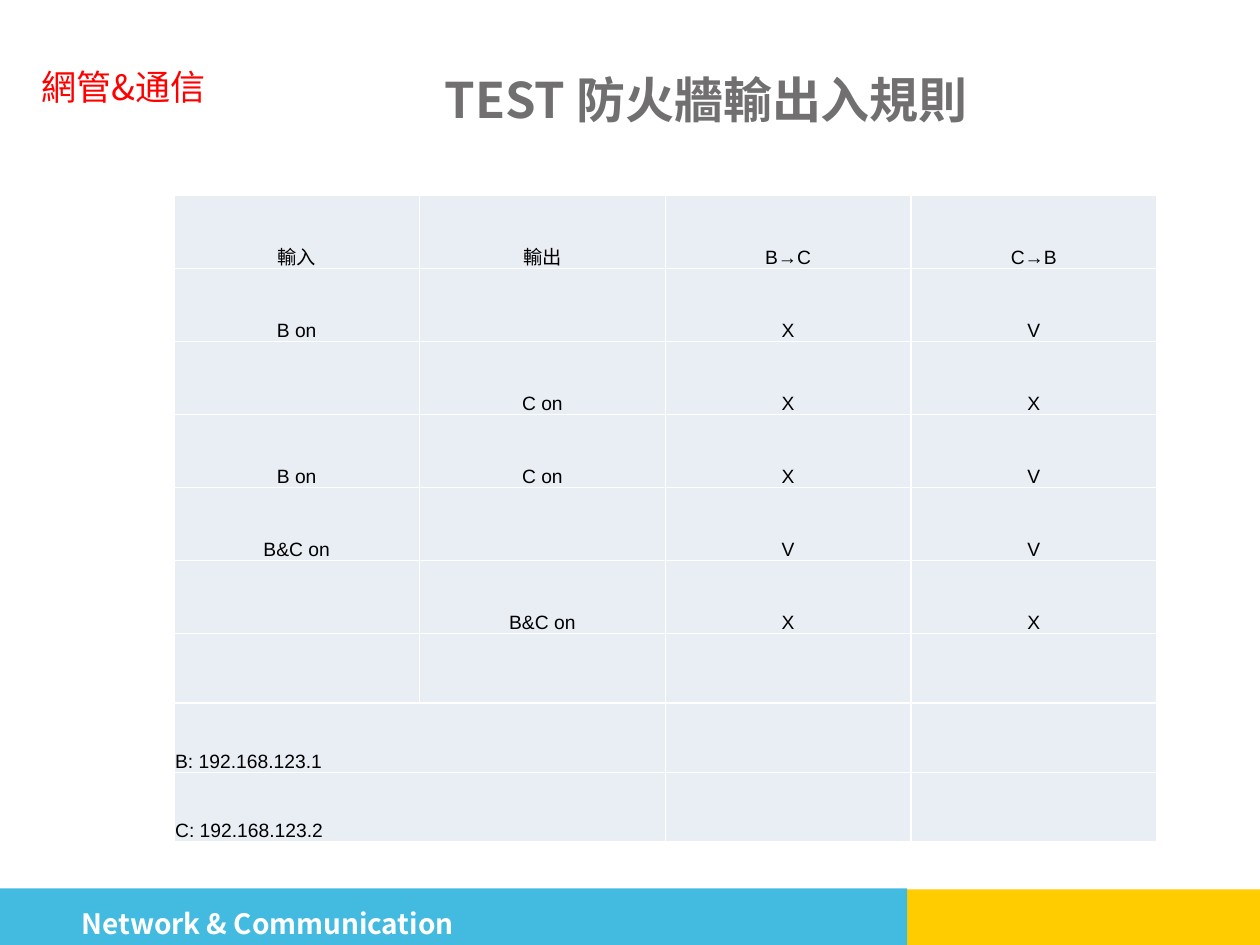
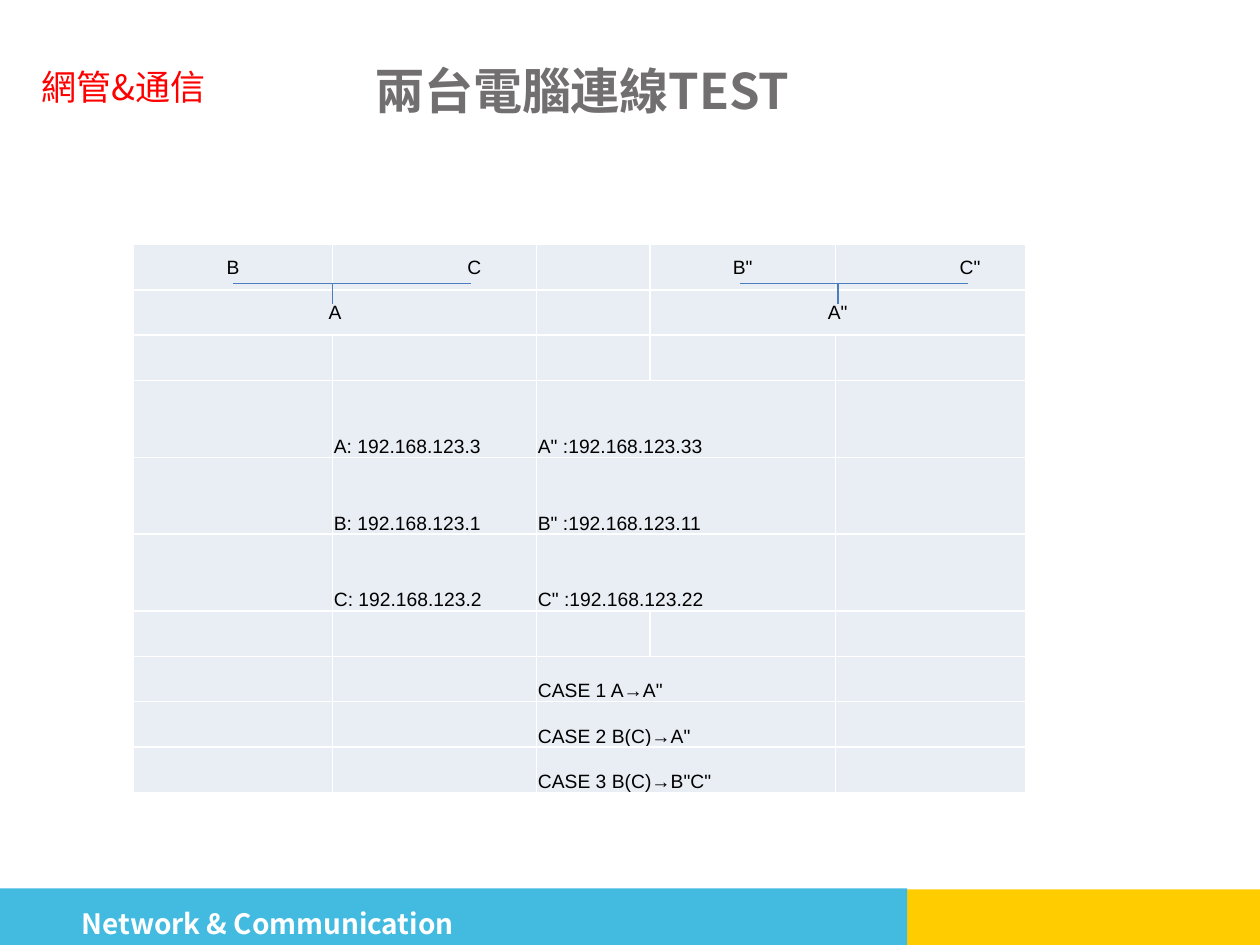
from pptx import Presentation
from pptx.dml.color import RGBColor
from pptx.enum.shapes import MSO_CONNECTOR, MSO_SHAPE
from pptx.enum.text import MSO_ANCHOR, PP_ALIGN
from pptx.oxml.ns import qn
from pptx.util import Inches, Pt
from lxml.etree import SubElement

COLORS = {
    "yellow": "FFCC00",
    "blue": "43BBE1",
    "red": "FF0000",
    "white": "FFFFFF",
    "title": "716F70",
    "cell": "E9EDF4",
    "wire": "4B7EBC",
    "black": "000000",
}
HEADING_FONT = "Noto Sans CJK SC"
MERGED = None  # cell that belongs to the one on its left


def write(frame, text, size=11, color="black", font="Arial", bold=False,
          align=PP_ALIGN.LEFT, spacing=None):
    frame.word_wrap = True
    paragraph = frame.paragraphs[0]
    paragraph.alignment = align
    if spacing:
        paragraph.line_spacing = spacing
    run = paragraph.add_run()
    run.text = text
    run.font.size = Pt(size)
    run.font.bold = bold
    run.font.color.rgb = RGBColor.from_string(COLORS[color])
    run.font.name = font
    SubElement(run.font._element, qn("a:ea"), typeface=font)


def add_label(slide, box, text, anchor=MSO_ANCHOR.TOP, **style):
    frame = slide.shapes.add_textbox(*map(Inches, box)).text_frame
    frame.vertical_anchor = anchor
    write(frame, text, font=HEADING_FONT, **style)


pages = [
    {
        "title": "TEST 防火牆輸出入規則",
        "title_at": (3.43, 0.36),
        "table_at": (1.38, 1.55),
        "columns": [1.95] * 4,
        "heights": [0.58] * 6 + [0.55] * 3,
        "centred_rows": 7,
        "centred_anchor": MSO_ANCHOR.BOTTOM,
        "indents": {},
        "rows": [
            ["輸入", "輸出", "B→C", "C→B"],
            ["B on", "", "X", "V"],
            ["", "C on", "X", "X"],
            ["B on", "C on", "X", "V"],
            ["B&C on", "", "V", "V"],
            ["", "B&C on", "X", "X"],
            ["", "", "", ""],
            ["B: 192.168.123.1", MERGED, "", ""],
            ["C: 192.168.123.2", MERGED, "", ""],
        ],
        "wires": [],
    },
    {
        "title": "兩台電腦連線TEST",
        "title_at": (2.88, 0.29),
        "table_at": (1.06, 1.94),
        "columns": [1.58, 1.62, 0.9, 1.47, 1.51],
        "heights": [0.36] * 3 + [0.61] * 3 + [0.36] * 4,
        "centred_rows": 2,
        "centred_anchor": MSO_ANCHOR.MIDDLE,
        "indents": {"C": 0.64, 'C"': 0.64},
        "rows": [
            ["B", "C", "", 'B"', 'C"'],
            ["A", MERGED, "", 'A"', MERGED],
            ["", "", "", "", ""],
            ["", "A: 192.168.123.3", 'A" :192.168.123.33', MERGED, ""],
            ["", "B: 192.168.123.1", 'B" :192.168.123.11', MERGED, ""],
            ["", "C: 192.168.123.2", 'C" :192.168.123.22', MERGED, ""],
            ["", "", "", "", ""],
            ["", "", 'CASE 1 A→A"', MERGED, ""],
            ["", "", 'CASE 2 B(C)→A"', MERGED, ""],
            ["", "", 'CASE 3 B(C)→B"C"', MERGED, ""],
        ],
        "wires": [
            (1.85, 2.25, 3.74, 2.25),
            (5.87, 2.25, 7.68, 2.25),
            (2.64, 2.25, 2.64, 2.41),
            (6.65, 2.25, 6.65, 2.41),
        ],
    },
]

deck = Presentation()
deck.slide_width, deck.slide_height = Inches(10), Inches(7.5)

for page in pages:
    slide = deck.slides.add_slide(deck.slide_layouts[6])

    # Footer bands, section tag and title
    for color, box in [("yellow", (3.57, 7.06, 6.43, 0.44)),
                       ("blue", (0, 7.05, 7.2, 0.45))]:
        band = slide.shapes.add_shape(MSO_SHAPE.RECTANGLE, *map(Inches, box))
        band.shadow.inherit = False
        band.fill.solid()
        band.fill.fore_color.rgb = RGBColor.from_string(COLORS[color])
        band.line.fill.background()
    add_label(slide, (0.23, 0.47, 1.57, 0.44), "網管&通信", size=20, color="red")
    add_label(slide, (0.55, 7.01, 5, 0.45), "Network & Communication",
              size=16, color="white", bold=True, spacing=1.5)
    add_label(slide, (*page["title_at"], 7.41, 0.85), page["title"],
              anchor=MSO_ANCHOR.MIDDLE, size=28, color="title", bold=True)

    # Table
    size = sum(page["columns"]), sum(page["heights"])
    grid = slide.shapes.add_table(
        len(page["heights"]), len(page["columns"]),
        *map(Inches, (*page["table_at"], *size))).table
    grid.first_row = grid.horz_banding = False
    for column, width in zip(grid.columns, page["columns"]):
        column.width = Inches(width)
    for row, height in zip(grid.rows, page["heights"]):
        row.height = Inches(height)

    for r, texts in enumerate(page["rows"]):
        centred = r < page["centred_rows"]
        for c, text in enumerate(texts):
            cell = grid.cell(r, c)
            cell.fill.solid()
            cell.fill.fore_color.rgb = RGBColor.from_string(COLORS["cell"])
            cell.margin_left = Inches(page["indents"].get(text, 0.01))
            cell.margin_right = cell.margin_top = Inches(0.01)
            cell.margin_bottom = 0
            cell.vertical_anchor = (page["centred_anchor"] if centred
                                    else MSO_ANCHOR.BOTTOM)
            if text is MERGED:
                grid.cell(r, c - 1).merge(cell)
            elif text:
                write(cell.text_frame, text,
                      align=PP_ALIGN.CENTER if centred else PP_ALIGN.LEFT)

    # Network wires between the hosts
    for ends in page["wires"]:
        wire = slide.shapes.add_connector(MSO_CONNECTOR.STRAIGHT,
                                          *map(Inches, ends))
        wire.line.color.rgb = RGBColor.from_string(COLORS["wire"])
        wire.line.width = Pt(0.75)
        SubElement(wire._element.spPr, qn("a:effectLst"))

deck.save("out.pptx")
